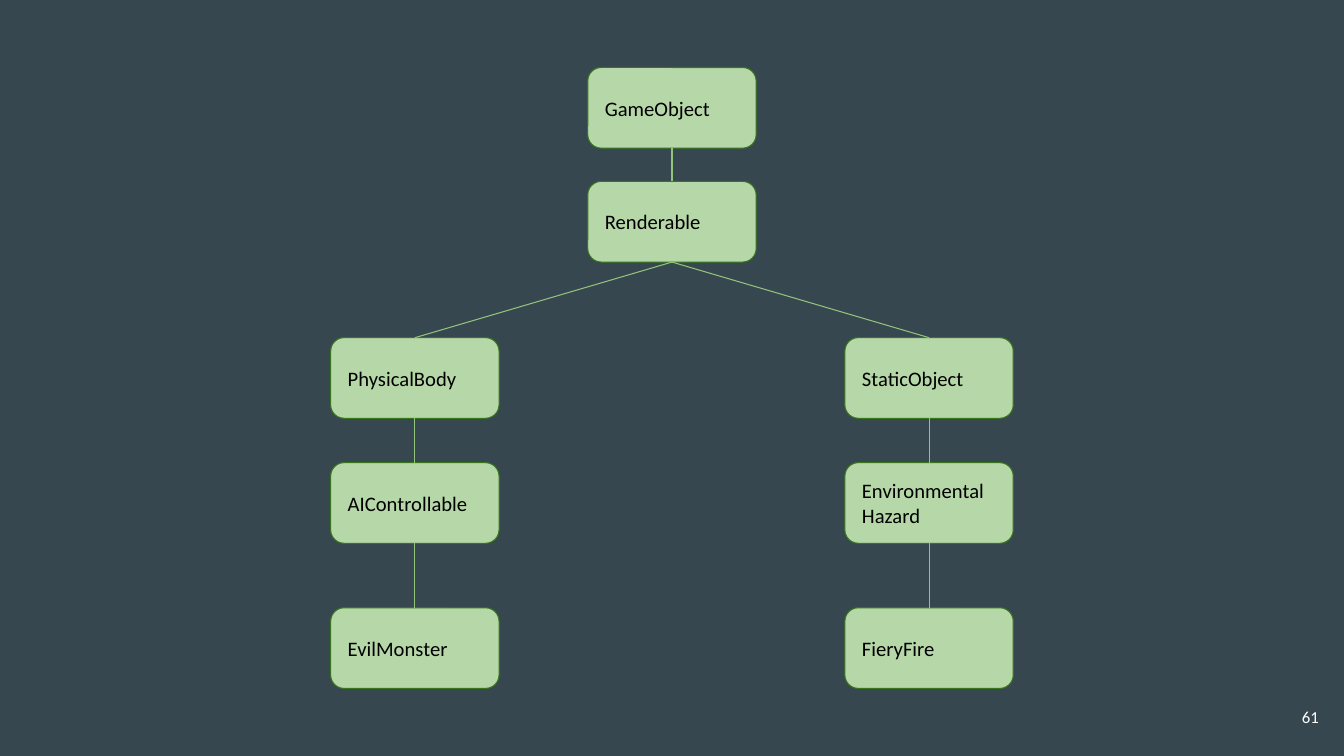
import pptx
import pptx.util
import pptx.dml.color
import pptx.enum.shapes
import pptx.enum.text
import pptx.oxml.ns
from lxml import etree

Inches = pptx.util.Inches
RGBColor = pptx.dml.color.RGBColor

# Content: class name -> (column, row), then parent and child pairs
CLASSES = {
    "GameObject": ("middle", 0),
    "Renderable": ("middle", 1),
    "PhysicalBody": ("left", 2),
    "AIControllable": ("left", 3),
    "EvilMonster": ("left", 4),
    "StaticObject": ("right", 2),
    "EnvironmentalHazard": ("right", 3),
    "FieryFire": ("right", 4),
}
INHERITANCE = [
    ("GameObject", "Renderable"),
    ("Renderable", "PhysicalBody"),
    ("PhysicalBody", "AIControllable"),
    ("AIControllable", "EvilMonster"),
    ("Renderable", "StaticObject"),
    ("StaticObject", "EnvironmentalHazard"),
    ("EnvironmentalHazard", "FieryFire"),
]
PAGE_NUMBER = "61"

# Layout in inches
SLIDE_W, SLIDE_H = 13.33, 7.5
BOX_W, BOX_H = 1.67, 0.8
BRANCH = 2.55
MIDDLE = (SLIDE_W - BOX_W) / 2
COLUMN_X = {"left": MIDDLE - BRANCH, "middle": MIDDLE, "right": MIDDLE + BRANCH}
ROW_Y = [0.67, 1.8, 3.35, 4.59, 6.03]

# Colours and formats
BACKGROUND = RGBColor(0x37, 0x47, 0x4F)
BOX_FILL = RGBColor(0xB6, 0xD7, 0xA8)
BOX_LINE = RGBColor(0x38, 0x76, 0x1D)
LINK = RGBColor(0x93, 0xC4, 0x7D)
BLACK = RGBColor(0, 0, 0)
WHITE = RGBColor(0xFF, 0xFF, 0xFF)
ALIGN = pptx.enum.text.PP_ALIGN
# The wider right inset makes the long class name break before "Hazard"
BOX_FRAME = {"margin_left": Inches(0.13), "margin_right": Inches(0.15),
             "margin_top": Inches(0.13), "margin_bottom": Inches(0.13)}
PAGE_FRAME = {f"margin_{side}": Inches(0.1)
              for side in ("left", "right", "top", "bottom")}


def set_all(target, values):
    for name, value in values.items():
        setattr(target, name, value)


def write(shape, text, size, color, align, margins):
    frame = shape.text_frame
    set_all(frame, {"word_wrap": True,
                    "vertical_anchor": pptx.enum.text.MSO_ANCHOR.MIDDLE,
                    **margins})
    paragraph = frame.paragraphs[0]
    paragraph.alignment = align
    run = paragraph.add_run()
    run.text = text
    set_all(run.font, {"name": "Calibri", "size": pptx.util.Pt(size)})
    run.font.color.rgb = color


def outline(line, color):
    line.color.rgb = color
    line.width = pptx.util.Pt(0.75)


def add_class(slide, name, column, row):
    box = slide.shapes.add_shape(
        pptx.enum.shapes.MSO_SHAPE.ROUNDED_RECTANGLE,
        Inches(COLUMN_X[column]), Inches(ROW_Y[row]), Inches(BOX_W), Inches(BOX_H))
    box.shadow.inherit = False
    box.fill.solid()
    box.fill.fore_color.rgb = BOX_FILL
    outline(box.line, BOX_LINE)
    write(box, name, 14.7, BLACK, ALIGN.LEFT, BOX_FRAME)
    return box


def add_link(slide, parent, child):
    link = slide.shapes.add_connector(
        pptx.enum.shapes.MSO_CONNECTOR.STRAIGHT, 0, 0, 0, 0)
    link.begin_connect(child, 0)
    link.end_connect(parent, 2)
    outline(link.line, LINK)
    etree.SubElement(link._element.spPr, pptx.oxml.ns.qn("a:effectLst"))


def main():
    deck = pptx.Presentation()
    set_all(deck, {"slide_width": Inches(SLIDE_W), "slide_height": Inches(SLIDE_H)})
    slide = deck.slides.add_slide(deck.slide_layouts[6])
    slide.background.fill.solid()
    slide.background.fill.fore_color.rgb = BACKGROUND

    # Class tree
    boxes = {name: add_class(slide, name, *place) for name, place in CLASSES.items()}
    for parent, child in INHERITANCE:
        add_link(slide, boxes[parent], boxes[child])

    # Page number
    page = slide.shapes.add_textbox(Inches(12.38), Inches(6.83), Inches(0.8), Inches(0.57))
    write(page, PAGE_NUMBER, 12, WHITE, ALIGN.RIGHT, PAGE_FRAME)

    deck.save("out.pptx")


if __name__ == "__main__":
    main()
